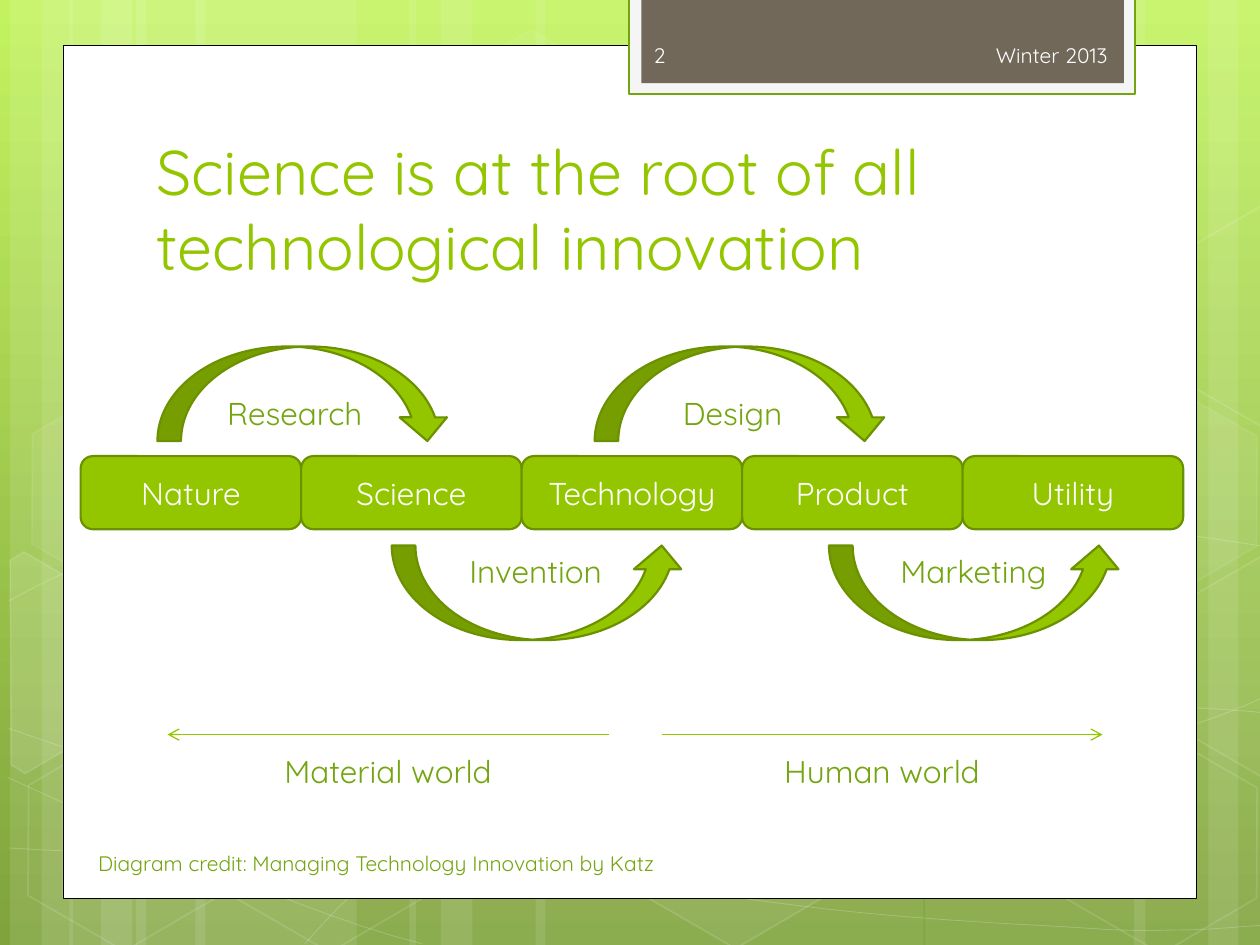
from dataclasses import dataclass

import pptx
import pptx.dml.color
import pptx.enum.shapes
import pptx.enum.text
import pptx.oxml
import pptx.oxml.ns
import pptx.util
from pptx.util import Inches

SHAPE = pptx.enum.shapes.MSO_SHAPE
ALIGN = pptx.enum.text.PP_ALIGN
ANCHOR = pptx.enum.text.MSO_ANCHOR
AUTO_SIZE = pptx.enum.text.MSO_AUTO_SIZE
COLORS = {
    "white": "FFFFFF", "black": "000000", "lime": "94C600", "lime edge": "6B9100",
    "label": "74A510", "tab": "71685A", "tab edge": "F5F5F5", "tab text": "FEFEFE",
    "sky": "C2F35F", "ground": "80A33D",
}
Point = tuple[float, float]


@dataclass
class Paint:
    fill: str | None = None
    line: str | None = None
    width: float = 1
    fill_alpha: int = 100
    line_alpha: int = 100


@dataclass
class Label:
    text: str
    left: float
    top: float
    width: float
    height: float = 0.4
    size: int = 18
    color: str = "label"
    align: ALIGN = ALIGN.CENTER
    anchor: ANCHOR = ANCHOR.TOP
    wrap: bool = False


def rgb(name: str) -> pptx.dml.color.RGBColor:
    return pptx.dml.color.RGBColor.from_string(COLORS[name])


def set_color(fill, name: str | None, alpha: int) -> None:
    if name is None:
        fill.background()
        return
    fill.solid()
    fill.fore_color.rgb = rgb(name)
    if alpha < 100:
        # Transparency is a child of the colour element
        color = fill._xPr.find(pptx.oxml.ns.qn("a:solidFill"))[0]
        color.append(pptx.oxml.parse_xml(
            f'<a:alpha {pptx.oxml.ns.nsdecls("a")} val="{alpha * 1000}"/>'))


def paint_shape(shape, paint: Paint) -> None:
    shape.shadow.inherit = False
    set_color(shape.fill, paint.fill, paint.fill_alpha)
    set_color(shape.line.fill, paint.line, paint.line_alpha)
    if paint.line:
        shape.line.width = pptx.util.Pt(paint.width)


def add_preset(slide, kind: SHAPE, left: float, top: float, width: float,
               height: float, paint: Paint):
    shape = slide.shapes.add_shape(
        kind, Inches(left), Inches(top), Inches(width), Inches(height))
    paint_shape(shape, paint)
    return shape


def add_outline(slide, points: list[Point], paint: Paint, close: bool) -> None:
    corners = [(Inches(x), Inches(y)) for x, y in points]
    builder = slide.shapes.build_freeform(*corners[0])
    builder.add_line_segments(corners[1:], close=close)
    paint_shape(builder.convert_to_shape(), paint)


def trace_curve(nodes: list[Point], steps: int = 12) -> list[Point]:
    """Sample a chain of cubic curves: a start, then three nodes per curve."""
    points = [nodes[0]]
    for first in range(0, len(nodes) - 1, 3):
        a, b, c, d = nodes[first:first + 4]
        for t in (step / steps for step in range(1, steps + 1)):
            weights = ((1 - t) ** 3, 3 * t * (1 - t) ** 2, 3 * t * t * (1 - t), t ** 3)
            points.append(tuple(
                sum(weight * node[axis] for weight, node in zip(weights, (a, b, c, d)))
                for axis in (0, 1)))
    return points


def write_text(shape, text: str, size: int, color: str, align: ALIGN,
               **frame_format) -> None:
    frame = shape.text_frame
    for name, value in frame_format.items():
        setattr(frame, name, value)
    paragraph = frame.paragraphs[0]
    paragraph.text = text
    paragraph.alignment = align
    for name, value in {"name": "Quicksand", "size": pptx.util.Pt(size)}.items():
        setattr(paragraph.runs[0].font, name, value)
    paragraph.runs[0].font.color.rgb = rgb(color)


def add_label(slide, label: Label) -> None:
    box = slide.shapes.add_textbox(Inches(label.left), Inches(label.top),
                                   Inches(label.width), Inches(label.height))
    auto_size = AUTO_SIZE.NONE if label.wrap else AUTO_SIZE.SHAPE_TO_FIT_TEXT
    write_text(box, label.text, label.size, label.color, label.align,
               vertical_anchor=label.anchor, word_wrap=label.wrap, auto_size=auto_size)


def add_arrow(slide, start: float, end: float, top: float) -> None:
    arrow = slide.shapes.add_connector(
        pptx.enum.shapes.MSO_CONNECTOR.STRAIGHT,
        Inches(start), Inches(top), Inches(end), Inches(top))
    arrow.line.color.rgb = rgb("lime")
    arrow.line.width = pptx.util.Pt(0.75)
    names = pptx.oxml.ns.nsdecls("a")
    arrow.line._get_or_add_ln().append(
        pptx.oxml.parse_xml(f'<a:tailEnd {names} type="arrow"/>'))
    arrow.element.spPr.append(pptx.oxml.parse_xml(f"<a:effectLst {names}/>"))


# Stripes: left and width
STRIPES = [(1.08, 1.75), (0.08, 0.5), (0.33, 0.83), (1.55, 1.75), (0.55, 0.5), (0.8, 0.83),
           (7.34, 1.75), (9.59, 0.5), (9, 0.83), (4.25, 3.08), (3.25, 0.5), (3.5, 0.83)]
CURVES = [
    [(0.07, 6.73), (0.61, 6.76), (1.15, 6.79), (1.9, 6.78), (2.65, 6.77), (3.58, 6.75),
     (4.58, 6.65), (5.58, 6.55), (7, 6.36), (7.92, 6.17), (8.83, 5.98), (9.77, 5.68),
     (10.07, 5.51)],
    [(0.07, 4.77), (0.36, 4.61), (0.65, 4.46), (1.21, 4.31), (1.78, 4.16), (2.59, 3.94),
     (3.47, 3.87), (4.36, 3.8), (5.44, 3.79), (6.54, 3.87), (7.64, 3.95), (9.47, 4.26),
     (10.07, 4.34)],
    [(0.06, 6.17), (1.27, 6.72), (2.47, 7.27), (3.35, 7.49)],
    [(0.07, 5.78), (0.38, 5.89), (0.7, 6), (1.28, 6.16), (1.86, 6.31), (2.73, 6.56),
     (3.57, 6.73), (4.4, 6.9), (5.45, 7.08), (6.28, 7.18), (7.11, 7.29), (8, 7.33),
     (8.53, 7.36), (9.06, 7.4), (9.19, 7.38), (9.45, 7.38), (9.71, 7.37), (9.89, 7.35),
     (10.07, 7.34)],
    [(2.42, 7.49), (2.6, 7.29), (2.78, 7.09), (3.02, 6.91), (3.26, 6.72), (3.6, 6.53),
     (3.88, 6.39), (4.16, 6.25), (4.33, 6.19), (4.69, 6.09), (5.06, 5.99), (5.73, 5.85),
     (6.08, 5.78), (6.44, 5.71), (6.49, 5.71), (6.8, 5.69), (7.11, 5.66), (7.6, 5.63),
     (7.94, 5.62), (8.29, 5.61), (8.86, 5.62), (8.86, 5.62), (9.1, 5.62), (9.3, 5.62),
     (9.53, 5.62), (9.71, 5.63), (9.88, 5.64), (10.06, 5.66)],
]
# Hexagons: left, top, fill opacity (0 for none), line opacity
HEXAGONS = [(3.34, 0.36, 4, 8), (4.96, 5.89, 6, 12), (0.11, 5.91, 0, 12),
            (0.14, 3.12, 7, 8), (1.74, 5.92, 0, 12), (7.53, 4.53, 10, 12),
            (8.34, 5.93, 0, 12), (8.34, 3.14, 7, 8)]
# Hexagons cut off by the slide edge: corners, fill opacity
CUT_HEXAGONS = [
    ([(0.08, 4.45), (0.19, 4.38), (0.96, 4.83), (0.95, 5.7), (0.2, 6.14), (0.09, 6.07)], 10),
    ([(9.26, 4.85), (10.02, 4.41), (10.09, 4.46), (10.09, 6.13), (10.02, 6.17),
      (9.26, 5.73)], 4),
    ([(9.26, 2.07), (10.02, 1.63), (10.1, 1.68), (10.09, 3.35), (10.02, 3.39),
      (9.26, 2.95)], 0),
]
STAGES = ["Nature", "Science", "Technology", "Product", "Utility"]
STAGE_WIDTH = 1.75
CURVED_ARROWS = [(SHAPE.CURVED_UP_ARROW, 3.11, 4.33), (SHAPE.CURVED_UP_ARROW, 6.58, 4.33),
                 (SHAPE.CURVED_DOWN_ARROW, 1.25, 2.75), (SHAPE.CURVED_DOWN_ARROW, 4.72, 2.75)]
TAB_TEXT = {"size": 12, "color": "tab text", "anchor": ANCHOR.MIDDLE, "wrap": True}
LABELS = [
    Label("Research", 1.69, 3.08, 1.3), Label("Design", 5.31, 3.08, 1.01),
    Label("Invention", 3.59, 4.33, 1.32), Label("Marketing", 7.02, 4.33, 1.41),
    Label("Material world", 2.13, 5.92, 1.9), Label("Human world", 6.1, 5.92, 1.8),
    Label("Winter 2013", 6.56, 0.24, 2.33, align=ALIGN.RIGHT, **TAB_TEXT),
    Label("2", 5.09, 0.24, 1.46, align=ALIGN.LEFT, **TAB_TEXT),
    Label("Diagram credit: Managing Technology Innovation by Katz", 0.68, 6.7, 4.7, 0.3,
          size=12, align=ALIGN.LEFT),
]


def draw_backdrop(slide) -> None:
    fill = slide.background.fill
    fill.gradient()
    fill.gradient_angle = 270
    for stop, name in zip(fill.gradient_stops, ("sky", "ground")):
        stop.color.rgb = rgb(name)
    for left, width in STRIPES:
        add_preset(slide, SHAPE.RECTANGLE, left, 0, width, 7.5, Paint("white", fill_alpha=10))
    for nodes in CURVES:
        add_outline(slide, trace_curve(nodes), Paint(None, "white", 0.5, line_alpha=20), False)
    for left, top, fill_alpha, line_alpha in HEXAGONS:
        paint = Paint("white" if fill_alpha else None, "white", 1, fill_alpha, line_alpha)
        hexagon = add_preset(slide, SHAPE.HEXAGON, left, top, 1.75, 1.52, paint)
        hexagon.adjustments[0] = 0.285
        hexagon.rotation = 30
    for corners, fill_alpha in CUT_HEXAGONS:
        paint = Paint("white" if fill_alpha else None, "white", 1, fill_alpha, 12)
        add_outline(slide, corners, paint, True)
    # Page and the tab at its top
    add_preset(slide, SHAPE.RECTANGLE, 0.5, 0.36, 9, 6.77, Paint("white", "black", 0.5))
    add_preset(slide, SHAPE.RECTANGLE, 4.99, -0.02, 4.02, 0.77, Paint("tab edge", "label", 1.25))
    add_preset(slide, SHAPE.RECTANGLE, 5.09, -0.02, 3.83, 0.68, Paint("tab"))


def draw_title(slide) -> None:
    title = slide.shapes.title
    place = {"left": 1.14, "top": 0.92, "width": 7.68, "height": 1.46}
    for name, value in place.items():
        setattr(title, name, Inches(value))
    write_text(title, "Science is at the root of all technological innovation", 36, "lime",
               ALIGN.LEFT, vertical_anchor=ANCHOR.MIDDLE, word_wrap=True)
    title.element.getparent().append(title.element)  # in front of the page


def draw_diagram(slide) -> None:
    paint = Paint("lime", "lime edge", 1.25)
    for index, stage in enumerate(STAGES):
        box = add_preset(slide, SHAPE.ROUNDED_RECTANGLE, 0.64 + index * STAGE_WIDTH, 3.62,
                         STAGE_WIDTH, 0.58, paint)
        write_text(box, stage, 18, "white", ALIGN.CENTER, vertical_anchor=ANCHOR.MIDDLE)
    for kind, left, top in CURVED_ARROWS:
        add_preset(slide, kind, left, top, 2.33, 0.75, paint)
    for start, end in ((5.25, 8.75), (4.83, 1.33)):
        add_arrow(slide, start, end, 5.83)
    for label in LABELS:
        add_label(slide, label)


def main() -> None:
    presentation = pptx.Presentation()
    presentation.slide_width, presentation.slide_height = Inches(10), Inches(7.5)
    slide = presentation.slides.add_slide(presentation.slide_layouts[5])
    draw_backdrop(slide)
    draw_title(slide)
    draw_diagram(slide)
    presentation.save("out.pptx")


if __name__ == "__main__":
    main()
